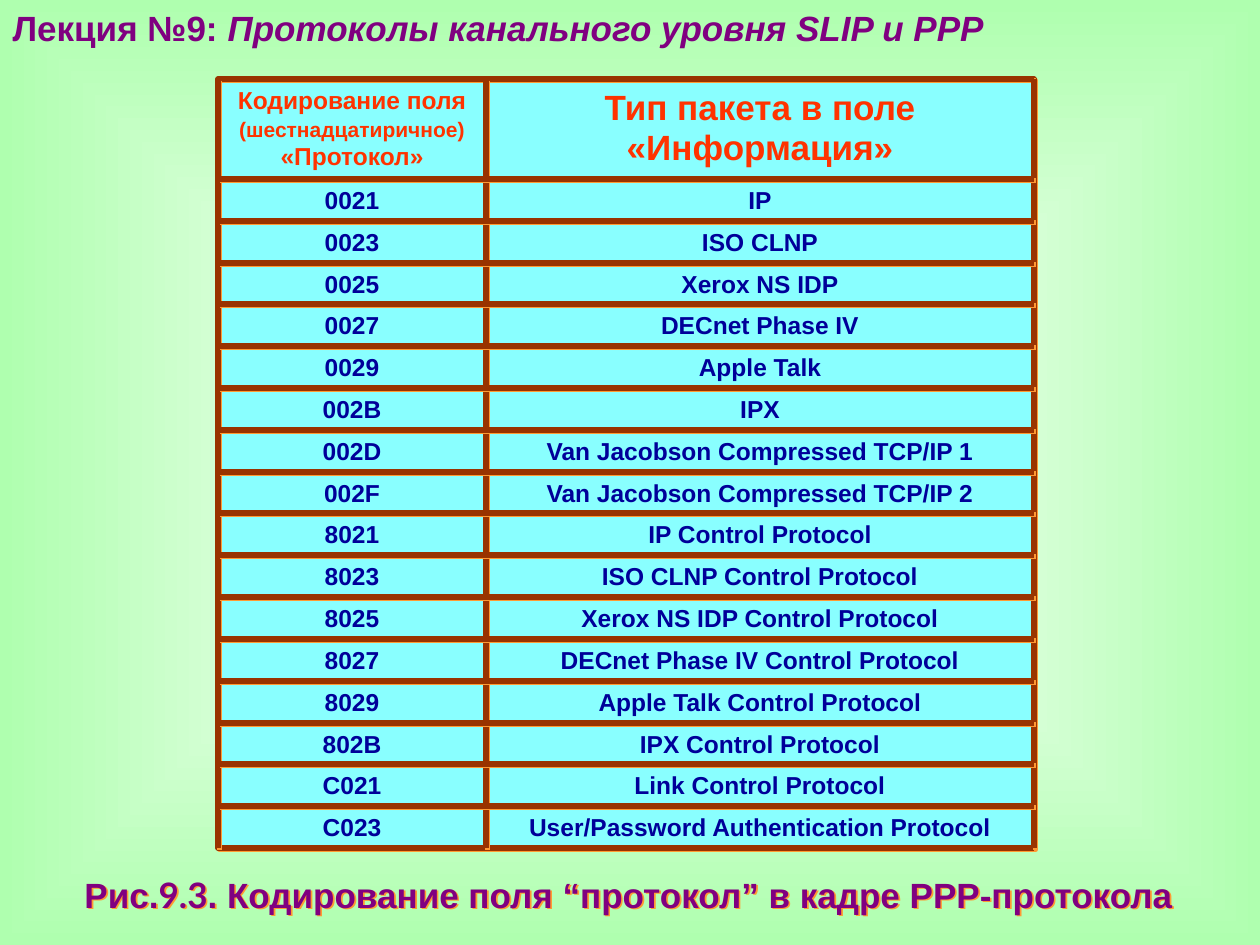
"""Build a lecture slide tabulating the protocol field codes of a PPP frame."""
from dataclasses import dataclass

import lxml.etree
import pptx
import pptx.dml.color
import pptx.enum.shapes
import pptx.enum.text
import pptx.oxml
import pptx.oxml.ns
import pptx.util

EMU_PER_PX = 914400 / 126
COLORS = {
    "center": "FFFFFF",
    "edge": "AFFFAF",
    "heading": "800080",
    "column": "FF3300",
    "entry": "000099",
    "cell": "89FFFF",
    "border": "993300",
    "shadow": "FF9933",
}
LEFT, DIVIDER, RIGHT = 218, 486, 1034
TOP, HEADER_BOTTOM, BOTTOM = 79, 179, 848
PROTOCOLS = (
    ("0021", "IP"),
    ("0023", "ISO CLNP"),
    ("0025", "Xerox NS IDP"),
    ("0027", "DECnet Phase IV"),
    ("0029", "Apple Talk"),
    ("002B", "IPX"),
    ("002D", "Van Jacobson Compressed TCP/IP 1"),
    ("002F", "Van Jacobson Compressed TCP/IP 2"),
    ("8021", "IP Control Protocol"),
    ("8023", "ISO CLNP Control Protocol"),
    ("8025", "Xerox NS IDP Control Protocol"),
    ("8027", "DECnet Phase IV Control Protocol"),
    ("8029", "Apple Talk Control Protocol"),
    ("802B", "IPX Control Protocol"),
    ("C021", "Link Control Protocol"),
    ("C023", "User/Password Authentication Protocol"),
)
ROW_EDGES = [
    HEADER_BOTTOM + round((BOTTOM - HEADER_BOTTOM) * row / len(PROTOCOLS))
    for row in range(len(PROTOCOLS) + 1)
]


@dataclass(frozen=True)
class Words:
    """A run of bold text with its look."""

    text: str
    color: str
    size: int = 14
    font: str = "Arial"
    italic: bool = False


@dataclass(frozen=True)
class Cell:
    """A framed field of the table, bounded by its edges in px."""

    left: int
    top: int
    right: int
    bottom: int
    words: tuple[Words, ...]
    heading: bool = False
    padded: bool = True


def px(length: int) -> int:
    """Turn pixels into EMU."""
    return round(length * EMU_PER_PX)


def rgb(name: str) -> pptx.dml.color.RGBColor:
    """Look up a named colour."""
    return pptx.dml.color.RGBColor.from_string(COLORS[name])


def element(markup: str) -> lxml.etree.ElementBase:
    """Parse DrawingML markup whose first tag takes the namespace."""
    tag, rest = markup.split(">", 1)
    return pptx.oxml.parse_xml(f"{tag} {pptx.oxml.ns.nsdecls('a')}>{rest}")


def cast_shadow(shape) -> None:
    """Give a shape the hard orange shadow."""
    shape.element.spPr.append(element(
        '<a:effectLst><a:outerShdw dist="17780" dir="2700000" algn="ctr" rotWithShape="0">'
        f'<a:srgbClr val="{COLORS["shadow"]}"/></a:outerShdw></a:effectLst>'
    ))


def write(frame, parts: tuple[Words, ...], centered: bool = True, spacing: float = 1.0) -> None:
    """Write styled runs into the first paragraph of a text frame."""
    align = pptx.enum.text.PP_ALIGN
    paragraph = frame.paragraphs[0]
    paragraph.alignment = align.CENTER if centered else align.LEFT
    paragraph.line_spacing = spacing
    for part in parts:
        run = paragraph.add_run()
        run.text = part.text
        run.font.name = part.font
        run.font.size = pptx.util.Pt(part.size)
        run.font.bold = True
        run.font.italic = part.italic
        run.font.color.rgb = rgb(part.color)


def paint_background(slide) -> None:
    """Fill the slide with a gradient growing from its centre."""
    fill = slide.background.fill
    fill.gradient()
    for stop, name in zip(fill.gradient_stops, ("center", "edge")):
        stop.color.rgb = rgb(name)
    gradient = slide.element.find(".//" + pptx.oxml.ns.qn("a:gradFill"))
    linear = gradient.find(pptx.oxml.ns.qn("a:lin"))
    gradient.replace(linear, element(
        '<a:path path="shape"><a:fillToRect l="50000" t="50000" r="50000" b="50000"/></a:path>'
    ))


def draw_border(shape) -> None:
    """Stroke a shape or rule in brown with its shadow."""
    shape.line.color.rgb = rgb("border")
    shape.line.width = pptx.util.Pt(3)
    cast_shadow(shape)


def add_cell(shapes, cell: Cell) -> None:
    """Draw one field of the table with its text."""
    field = shapes.add_shape(
        pptx.enum.shapes.MSO_SHAPE.RECTANGLE, px(cell.left), px(cell.top),
        px(cell.right - cell.left), px(cell.bottom - cell.top),
    )
    field.fill.solid()
    field.fill.fore_color.rgb = rgb("cell")
    draw_border(field)
    frame = field.text_frame
    frame.word_wrap = True
    anchor = pptx.enum.text.MSO_ANCHOR
    frame.vertical_anchor = anchor.MIDDLE if cell.heading else anchor.TOP
    if not cell.padded:
        frame.margin_left = frame.margin_right = frame.margin_top = frame.margin_bottom = 0
    write(frame, cell.words, spacing=0.95 if cell.heading else 1.0)


def add_rule(shapes, x1: int, y1: int, x2: int, y2: int) -> None:
    """Draw one ruling line of the table."""
    straight = pptx.enum.shapes.MSO_CONNECTOR.STRAIGHT
    draw_border(shapes.add_connector(straight, px(x1), px(y1), px(x2), px(y2)))


def add_protocol_table(slide) -> None:
    """Draw the fields from the bottom up, then the rules over them."""
    shapes = slide.shapes.add_group_shape().shapes
    rows = list(zip(PROTOCOLS, ROW_EDGES, ROW_EDGES[1:]))
    for (code, packet), top, bottom in reversed(rows):
        add_cell(shapes, Cell(DIVIDER, top, RIGHT, bottom, (Words(packet, "entry"),)))
        add_cell(shapes, Cell(LEFT, top, DIVIDER, bottom, (Words(code, "entry"),)))
    packet_heading = (Words("Тип пакета в поле «Информация»", "column", 20),)
    code_heading = (
        Words("Кодирование поля ", "column"),
        Words("(шестнадцатиричное)", "column", 12),
        Words(" «Протокол»", "column"),
    )
    add_cell(shapes, Cell(DIVIDER, TOP, RIGHT, HEADER_BOTTOM, packet_heading, heading=True))
    add_cell(shapes, Cell(LEFT, TOP, DIVIDER, HEADER_BOTTOM, code_heading, True, padded=False))
    for y in (TOP, BOTTOM):
        add_rule(shapes, LEFT, y, RIGHT, y)
    for x in (LEFT, RIGHT, DIVIDER):
        add_rule(shapes, x, TOP, x, BOTTOM)
    for y in ROW_EDGES[:-1]:
        add_rule(shapes, LEFT, y, RIGHT, y)


def add_lecture_title(slide) -> None:
    """Place the lecture heading in the title placeholder."""
    title = slide.shapes.title
    title.left, title.top, title.width, title.height = 0, 0, px(1004), px(54)
    frame = title.text_frame
    frame.auto_size = pptx.enum.text.MSO_AUTO_SIZE.NONE
    frame.vertical_anchor = pptx.enum.text.MSO_ANCHOR.MIDDLE
    write(frame, (
        Words("Лекция №9: ", "heading", 20),
        Words("Протоколы канального уровня SLIP и PPP", "heading", 20, italic=True),
    ), centered=False)


def add_caption(slide) -> None:
    """Add the shadowed figure caption."""
    caption = slide.shapes.add_textbox(px(38), px(867), px(1191), px(54))
    caption.text_frame.word_wrap = True
    cast_shadow(caption)
    write(caption.text_frame, (
        Words("Рис.", "heading", 20),
        Words("9.3", "heading", 20, "Lato"),
        Words(". Кодирование поля “протокол” в кадре РРР-протокола ", "heading", 20),
    ))


def main() -> None:
    """Assemble and save the presentation."""
    deck = pptx.Presentation()
    deck.slide_width, deck.slide_height = px(1260), px(945)
    slide = deck.slides.add_slide(deck.slide_layouts[5])
    paint_background(slide)
    add_lecture_title(slide)
    add_caption(slide)
    add_protocol_table(slide)
    deck.save("out.pptx")


if __name__ == "__main__":
    main()
